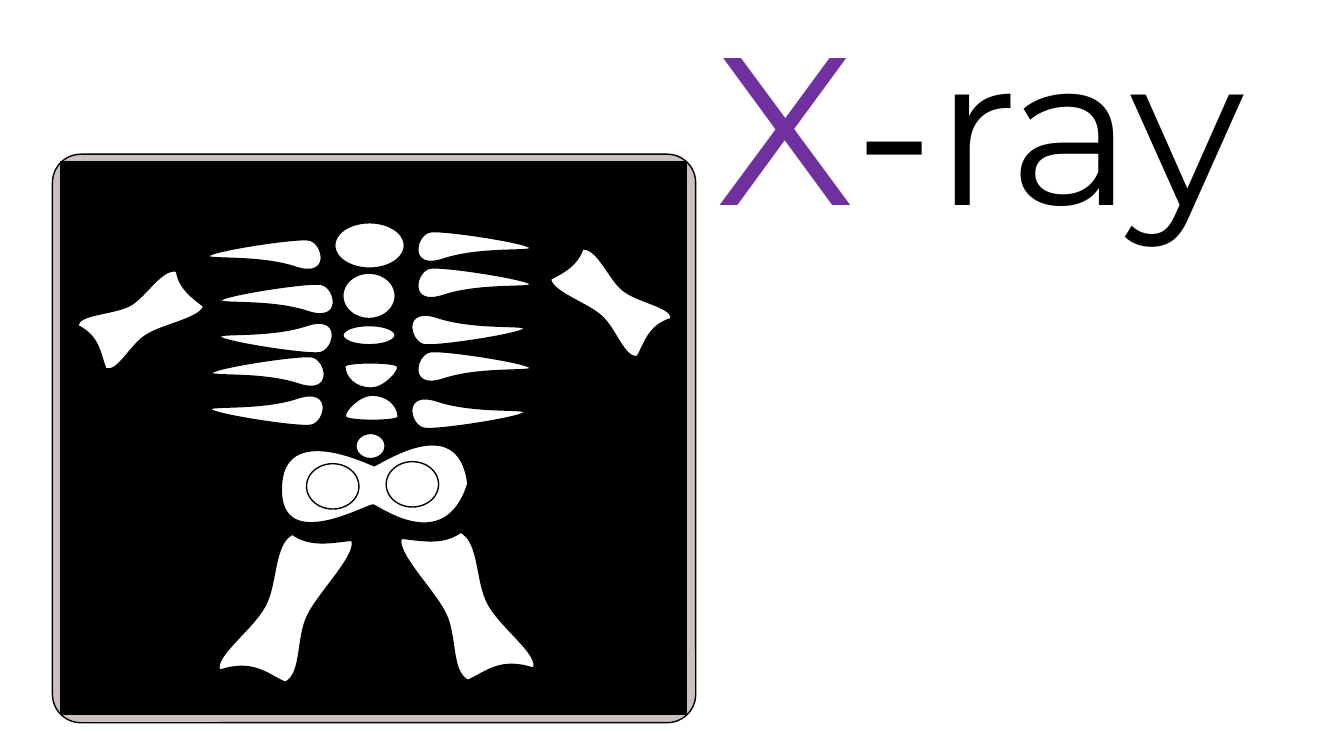
from dataclasses import dataclass

from lxml.etree import SubElement as Sub
from pptx import Presentation
from pptx.dml.color import RGBColor as RGB
from pptx.enum.shapes import MSO_SHAPE as Kind
from pptx.enum.text import MSO_AUTO_SIZE as Fit
from pptx.oxml.ns import qn
from pptx.util import Inches, Pt


@dataclass
class Theme:
    ink: RGB = RGB(0, 0, 0)
    bone: RGB = RGB(255, 255, 255)
    frame: RGB = RGB(0xCA, 0xC0, 0xBE)
    accent: RGB = RGB(0x70, 0x30, 0xA0)
    font: str = "Montserrat"
    title: int = 150
    line: float = 1


def curve(points, steps=16):
    out = [points[0]]
    for i in range(0, len(points) - 1, 3):
        a, b, c, d = points[i:i + 4]
        for n in range(1, steps + 1):
            t = n / steps
            u = 1 - t
            out.append(tuple(
                round(u**3 * p + 3 * u * u * t * q + 3 * u * t * t * r + t**3 * s)
                for p, q, r, s in zip(a, b, c, d)))
    return out


class Board:
    def __init__(self, slide, theme):
        self.slide = slide
        self.theme = theme
        self.group = slide.shapes.add_group_shape().shapes

    def paint(self, shape, fill):
        shape.shadow.inherit = False
        shape.fill.solid()
        shape.fill.fore_color.rgb = fill
        shape.line.color.rgb = self.theme.ink
        shape.line.width = Pt(self.theme.line)
        return shape

    def shape(self, kind, box, fill):
        item = self.group.add_shape(kind, *map(Inches, box))
        return self.paint(item, fill)

    def bone(self, points, at=(0, 0), flip=(1, 1)):
        knots = [tuple(Inches(o + f * v) for o, f, v in zip(at, flip, dot))
                 for dot in points]
        dots = curve(knots)
        form = self.group.build_freeform(*dots[0], scale=1.0)
        form.add_line_segments(dots[1:], close=True)
        item = self.paint(form.convert_to_shape(), self.theme.bone)
        self.bend(item, knots)

    def bend(self, item, knots):
        track = item._element.find(".//" + qn("a:path"))
        for part in list(track):
            track.remove(part)
        parts = [("a:moveTo", knots[:1])]
        parts += [("a:cubicBezTo", knots[i:i + 3])
                  for i in range(1, len(knots), 3)]
        for tag, group in parts:
            part = Sub(track, qn(tag))
            for x, y in group:
                Sub(part, qn("a:pt"), x=str(x - item.left), y=str(y - item.top))
        Sub(track, qn("a:close"))

    def text(self, box, runs):
        item = self.slide.shapes.add_textbox(*map(Inches, box))
        frame = item.text_frame
        frame.word_wrap = True
        frame.auto_size = Fit.SHAPE_TO_FIT_TEXT
        style = {"name": self.theme.font, "size": Pt(self.theme.title)}
        for words, color in runs:
            run = frame.paragraphs[0].add_run()
            run.text = words
            for key, value in style.items():
                setattr(run.font, key, value)
            run.font.color.rgb = color


RIB = [(0, 0), (-.02, .04), (.5, -.01), (.86, .11), (1.22, .23),
       (1.14, -.14), (.99, -.16), (.85, -.18), (.02, -.05), (0, 0)]
RIBS = [(2.09, 4.06, 1, -1), (5.2, 4.09, -1, -1), (5.26, 3.65, -1, 1),
        (2.1, 3.7, 1, 1), (5.2, 3.26, -1, -1), (5.26, 2.82, -1, 1),
        (2.18, 3.34, 1, -1), (2.19, 2.98, 1, 1), (2.07, 2.54, 1, 1),
        (5.26, 2.46, -1, 1)]
DISC = [(0, 0), (.04, -.04), (.47, -.04), (.52, 0), (.56, .03),
        (.4, .22), (.26, .22), (.11, .22), (0, .12), (0, 0)]
DISCS = [(3.42, 3.63, 1, 1), (3.95, 4.14, -1, -1)]
LEG = [(0, 0), (-.19, .1), (-.15, .49), (-.27, .71), (-.39, .94),
       (-.79, 1.22), (-.72, 1.35), (-.39, 1.24), (-.25, 1.39),
       (-.07, 1.47), (.1, 1.38), (.04, 1.04), (.15, .81),
       (.26, .58), (.65, .2), (.59, .06), (.39, .08), (.18, .13), (0, 0)]
LEGS = [(2.9, 5.3, 1, 1), (4.57, 5.28, -1, 1)]
HIP = [(2.79, 4.84), (2.8, 4.17), (3.67, 4.61), (3.71, 4.62),
       (3.75, 4.62), (4.55, 4.05), (4.64, 4.8), (4.41, 5.53),
       (3.74, 5.01), (3.7, 5.01), (3.65, 5), (2.77, 5.51), (2.79, 4.84)]
ARMS = [
    [(5.78, 2.47), (5.93, 2.46), (6.04, 2.77), (6.18, 2.88), (6.33, 3),
     (6.66, 3.04), (6.66, 3.16), (6.43, 3.23), (6.4, 3.4), (6.32, 3.54),
     (6.19, 3.55), (6.11, 3.27), (5.97, 3.14), (5.83, 3.01),
     (5.48, 2.9), (5.46, 2.77), (5.59, 2.7), (5.72, 2.64), (5.78, 2.47)],
    [(1.75, 2.69), (1.6, 2.66), (1.45, 2.94), (1.29, 3.03), (1.12, 3.12),
     (.79, 3.11), (.77, 3.23), (.99, 3.34), (.99, 3.51), (1.05, 3.66),
     (1.18, 3.69), (1.29, 3.42), (1.46, 3.32), (1.62, 3.22),
     (1.98, 3.16), (2.02, 3.04), (1.91, 2.95), (1.78, 2.87), (1.75, 2.69)],
]
SPINE = [(3.32, 2.21, .69, .45), (3.4, 2.71, .52, .45),
         (3.4, 3.23, .52, .19), (3.53, 4.3, .29, .25)]
HOLES = [(3.04, 4.6, .52, .45), (3.83, 4.58, .52, .45)]


def main():
    deck = Presentation()
    deck.slide_width, deck.slide_height = Inches(13.33), Inches(7.5)
    theme = Theme()
    board = Board(deck.slides.add_slide(deck.slide_layouts[6]), theme)

    frame = board.shape(Kind.ROUNDED_RECTANGLE, (.52, 1.53, 6.38, 5.64),
                        theme.frame)
    frame.adjustments[0] = .05
    board.shape(Kind.RECTANGLE, (.6, 1.6, 6.21, 5.49), theme.ink)
    board.bone(HIP)
    for box in SPINE + HOLES:
        board.shape(Kind.OVAL, box, theme.bone)
    for points, spots in ((DISC, DISCS), (RIB, RIBS), (LEG, LEGS)):
        for x, y, across, down in spots:
            board.bone(points, (x, y), (across, down))
    for arm in ARMS:
        board.bone(arm)
    board.text((7.01, -.09, 6.48, 2.63),
               [("X", theme.accent), ("-ray", theme.ink)])
    deck.save("out.pptx")


if __name__ == "__main__":
    main()
